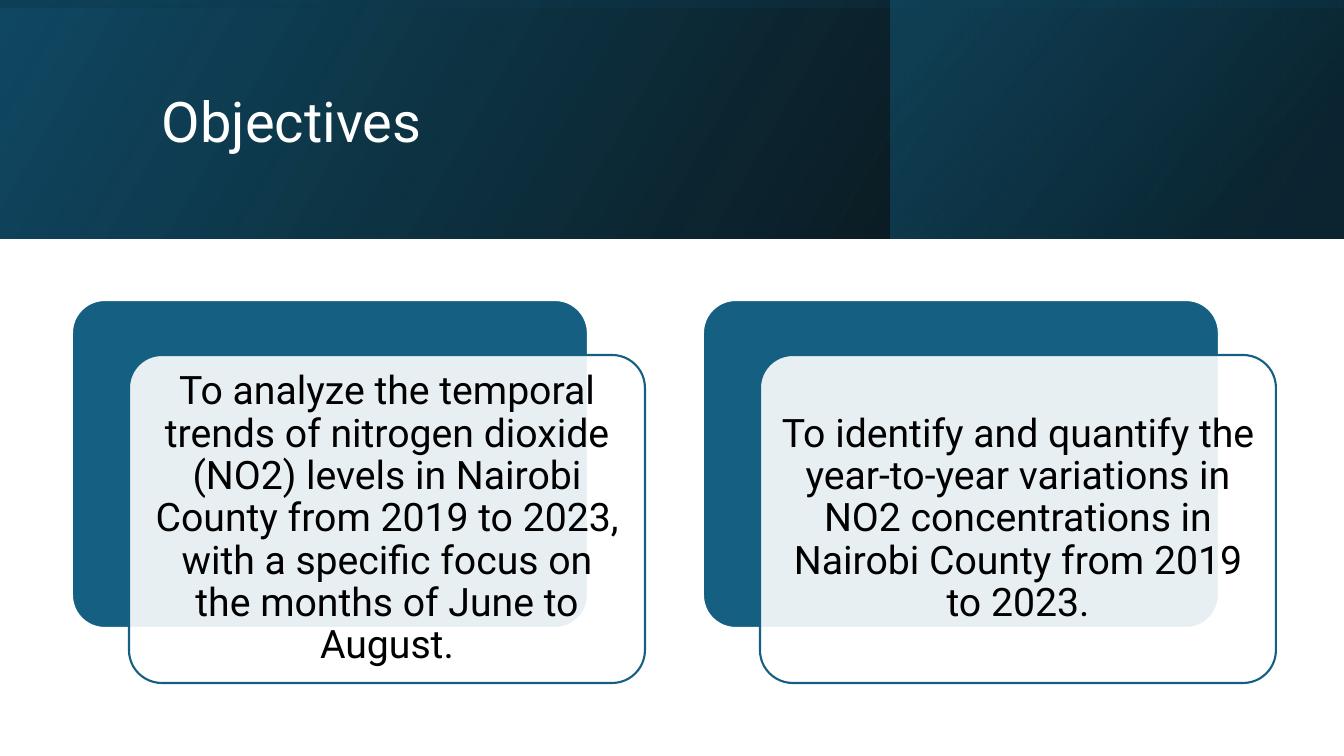
from lxml import etree
from pptx import Presentation
from pptx.dml.color import RGBColor
from pptx.enum.shapes import MSO_SHAPE
from pptx.enum.text import MSO_ANCHOR, PP_ALIGN
from pptx.oxml.ns import qn
from pptx.util import Emu, Pt

RECTANGLE = MSO_SHAPE.RECTANGLE
ROUNDED = MSO_SHAPE.ROUNDED_RECTANGLE
MIDDLE = MSO_ANCHOR.MIDDLE
LEFT, CENTER = PP_ALIGN.LEFT, PP_ALIGN.CENTER

FONT = "Roboto"
BLUE, NAVY, TEAL = "156082", "104862", "0B3041"
BLACK, WHITE = "000000", "FFFFFF"
SLIDE_WIDTH, SLIDE_HEIGHT, BAND_HEIGHT = 1344, 756, 239
CARD_LEFT, CARD_TOP, CARD_STEP = 72, 300, 631
CARD_WIDTH, CARD_HEIGHT = 516, 328
FRONT_SHIFT_X, FRONT_SHIFT_Y = 57, 55

OBJECTIVES = [
    "To analyze the temporal trends of nitrogen dioxide (NO2) levels in Nairobi "
    "County from 2019 to 2023, with a specific focus on the months of June to August.",
    "To identify and quantify the year-to-year variations in NO2 concentrations in "
    "Nairobi County from 2019 to 2023.",
]


def px(value):
    """Turn a length in px into EMU."""
    return Emu(round(value * 914400 / 100.8))


def color(value):
    """Turn a hex string into a colour."""
    return RGBColor.from_string(value)


def set_alpha(color_element, percent):
    """Give a colour element an opacity in percent."""
    etree.SubElement(color_element, qn("a:alpha"), val=str(percent * 1000))


def write_text(shape, text, size, fill, align, inset=10):
    """Write one formatted paragraph, centred vertically, into a shape."""
    frame = shape.text_frame
    frame.word_wrap = True
    frame.vertical_anchor = MIDDLE
    frame.margin_left = frame.margin_right = px(inset)
    frame.margin_top = frame.margin_bottom = px(inset)
    para = frame.paragraphs[0]
    para.alignment = align
    para.line_spacing = 0.9
    para.space_before = Pt(0)
    span = para.add_run()
    span.text = text
    span.font.name = FONT
    span.font.size = Pt(size)
    span.font.color.rgb = color(fill)


def add_box(page, kind, left, top, width, height):
    """Add a preset shape without a shadow."""
    box = page.shapes.add_shape(kind, px(left), px(top), px(width), px(height))
    box.shadow.inherit = False
    return box


def add_band(page, left, top, width, height, stops, angle, rotation=0):
    """Add a mirrored rectangle with a translucent gradient."""
    band = add_box(page, RECTANGLE, left, top, width, height)
    band.rotation = rotation
    band.line.fill.background()
    band.fill.gradient()
    properties = band._element.spPr
    properties.find(qn("a:xfrm")).set("flipH", "1")
    gradient = properties.find(qn("a:gradFill"))
    for child in list(gradient):
        gradient.remove(child)
    stop_list = etree.SubElement(gradient, qn("a:gsLst"))
    for position, value, opacity in stops:
        stop = etree.SubElement(stop_list, qn("a:gs"), pos=str(position * 1000))
        stop_color = etree.SubElement(stop, qn("a:srgbClr"), val=value)
        set_alpha(stop_color, opacity)
    etree.SubElement(gradient, qn("a:lin"), ang=str(angle * 60000), scaled="0")


def add_panel(page, left, top, fill, line):
    """Add one rounded panel of a card."""
    panel = add_box(page, ROUNDED, left, top, CARD_WIDTH, CARD_HEIGHT)
    panel.adjustments[0] = 0.1
    panel.fill.solid()
    panel.fill.fore_color.rgb = color(fill)
    panel.line.color.rgb = color(line)
    panel.line.width = Pt(1.5)
    return panel


def add_card(page, left, text):
    """Add a blue panel with a translucent text panel shifted over it."""
    add_panel(page, left, CARD_TOP, BLUE, WHITE)
    front = add_panel(page, left + FRONT_SHIFT_X, CARD_TOP + FRONT_SHIFT_Y, WHITE, BLUE)
    set_alpha(front._element.spPr.find(qn("a:solidFill"))[0], 90)
    write_text(front, text, 28, BLACK, CENTER, inset=12)


def add_header(page):
    """Stack the gradient bands and put the title over them."""
    add_band(page, 0, 0, SLIDE_WIDTH, BAND_HEIGHT, [(0, BLACK, 96), (100, NAVY, 100)], 330)
    add_band(page, 891, 0, 452, BAND_HEIGHT, [(19, TEAL, 68), (100, BLUE, 48)], 320)
    offset = (SLIDE_WIDTH - BAND_HEIGHT) // 2
    add_band(page, offset, -offset, BAND_HEIGHT, SLIDE_WIDTH,
             [(23, NAVY, 16), (99, BLACK, 45)], 350, rotation=270)
    title = page.shapes.title
    title.left, title.top, title.width, title.height = px(152), px(38), px(1072), px(173)
    write_text(title, "Objectives", 40, WHITE, LEFT)
    page.shapes._spTree.append(title._element)


def main():
    """Build the slide and save it."""
    deck = Presentation()
    deck.slide_width, deck.slide_height = px(SLIDE_WIDTH), px(SLIDE_HEIGHT)
    page = deck.slides.add_slide(deck.slide_layouts[5])
    add_header(page)
    for index, text in enumerate(OBJECTIVES):
        add_card(page, CARD_LEFT + index * CARD_STEP, text)
    deck.save("out.pptx")


if __name__ == "__main__":
    main()
